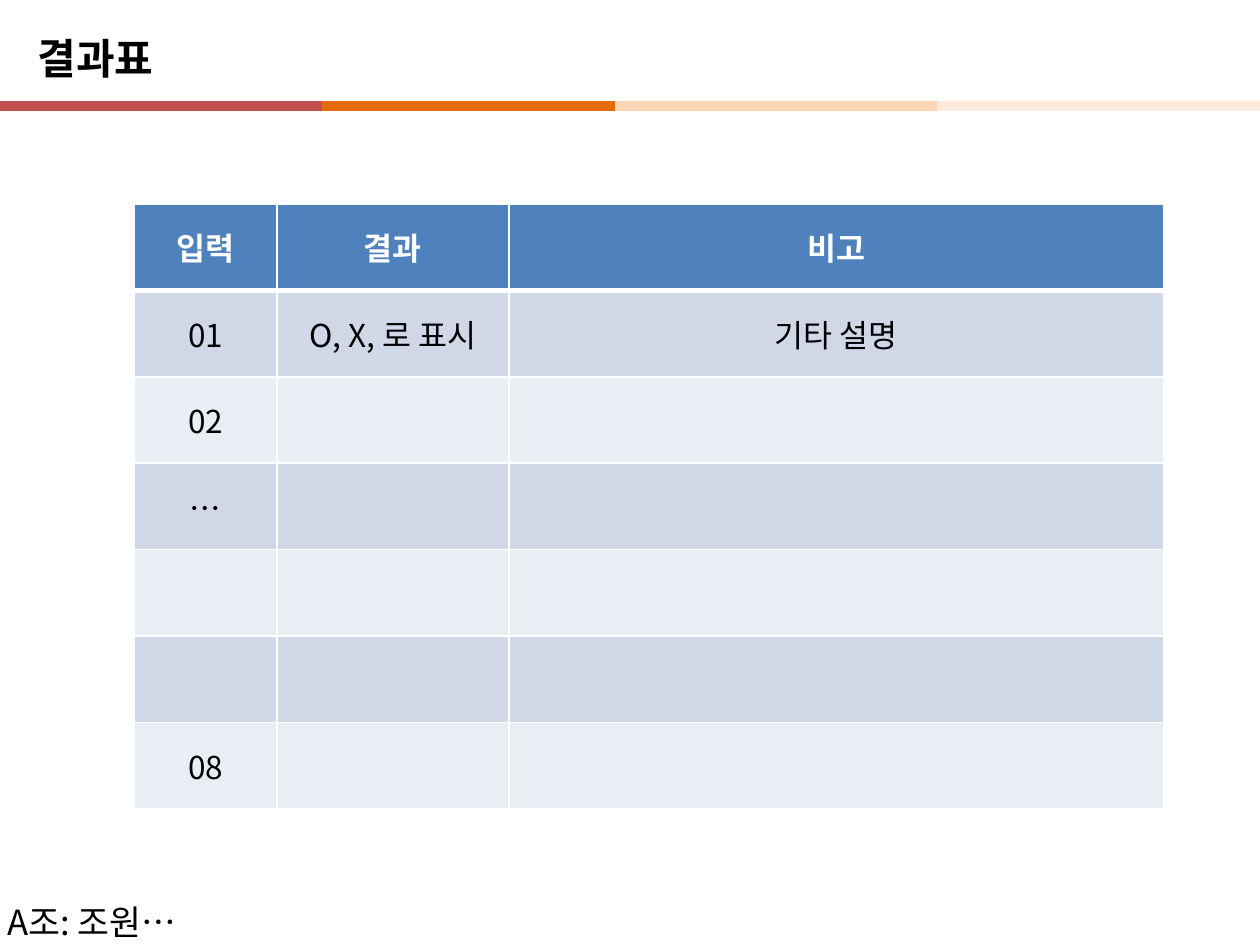
"""Build the result-table slide with its title, colour stripe and team line."""

import dataclasses
import typing

import lxml.etree
import pptx
import pptx.dml.color
import pptx.enum.shapes
import pptx.enum.text
import pptx.oxml.ns
import pptx.util

PX_PER_INCH = 126


@dataclasses.dataclass(frozen=True)
class Theme:
    font: str = "Noto Sans CJK KR"
    ink: str = "000000"
    white: str = "FFFFFF"
    header: str = "4F81BD"
    bands: tuple[str, str] = ("D0D8E8", "E9EDF4")
    title_size: float = 24
    table_size: float = 18
    team_size: float = 19.8
    stripe_width: float = 6
    grid_width: float = 1
    header_rule: float = 3


class Box(typing.NamedTuple):
    left: int
    top: int
    width: int
    height: int


class Stripe(typing.NamedTuple):
    start: int
    end: int
    color: str


THEME = Theme()
TITLE_BOX = Box(25, 20, 1042, 76)
TABLE_BOX = Box(134, 204, 1030, 605)
TEAM_BOX = Box(-5, 897, 507, 49)
STRIPE_Y = 106
STRIPES = (
    Stripe(292, 615, "E46C0A"),
    Stripe(615, 937, "FCD5B5"),
    Stripe(937, 1260, "FDEADA"),
    Stripe(0, 322, "C0504D"),
)
COLUMN_WIDTHS = (143, 232, 655)
ROWS = (
    ("입력", "결과", "비고"),
    ("01", "O, X, 로 표시", "기타 설명"),
    ("02", "", ""),
    ("…", "", ""),
    ("", "", ""),
    ("", "", ""),
    ("08", "", ""),
)


def px(length: float) -> int:
    """Convert pixels to EMU."""
    return pptx.util.Emu(round(length * 914400 / PX_PER_INCH))


def rgb(color: str) -> pptx.dml.color.RGBColor:
    """Turn a hex string into a colour."""
    return pptx.dml.color.RGBColor.from_string(color)


def assign(target: typing.Any, values: dict[str, typing.Any]) -> None:
    """Set each named attribute on the target."""
    for name, value in values.items():
        setattr(target, name, value)


def place(shape: typing.Any, box: Box) -> None:
    """Move and size a shape."""
    assign(shape, {name: px(length) for name, length in box._asdict().items()})


def write(frame: typing.Any, text: str, size: float, color: str,
          bold: bool = False, centred: bool = False) -> None:
    """Write one formatted line into a text frame."""
    align = pptx.enum.text.PP_ALIGN
    line = frame.paragraphs[0]
    line.alignment = align.CENTER if centred else align.LEFT
    line.font.size = pptx.util.Pt(size)
    if not text:
        return
    run = line.add_run()
    run.text = text
    assign(run.font, {"size": pptx.util.Pt(size), "bold": bold, "name": THEME.font})
    run.font.color.rgb = rgb(color)
    lxml.etree.SubElement(run._r.get_or_add_rPr(), pptx.oxml.ns.qn("a:ea"),
                          typeface=THEME.font)


def draw_stripe(slide: typing.Any, stripe: Stripe) -> None:
    """Draw one segment of the colour stripe."""
    segment = slide.shapes.add_connector(
        pptx.enum.shapes.MSO_CONNECTOR.STRAIGHT,
        px(stripe.start), px(STRIPE_Y), px(stripe.end), px(STRIPE_Y))
    segment.line.color.rgb = rgb(stripe.color)
    segment.line.width = pptx.util.Pt(THEME.stripe_width)
    lxml.etree.SubElement(segment._element.spPr, pptx.oxml.ns.qn("a:effectLst"))


def draw_borders(cell: typing.Any, row: int) -> None:
    """Draw the white grid around a cell, heavier below the header."""
    qn = pptx.oxml.ns.qn
    widths = dict.fromkeys(("L", "R", "T", "B"), THEME.grid_width)
    if row < 2:
        widths["B" if row == 0 else "T"] = THEME.header_rule
    for side, width in widths.items():
        border = lxml.etree.SubElement(cell._tc.get_or_add_tcPr(), qn(f"a:ln{side}"),
                                       w=str(pptx.util.Pt(width)))
        fill = lxml.etree.SubElement(border, qn("a:solidFill"))
        lxml.etree.SubElement(fill, qn("a:srgbClr"), val=THEME.white)


def draw_table(slide: typing.Any) -> None:
    """Draw the result table."""
    results = slide.shapes.add_table(
        len(ROWS), len(COLUMN_WIDTHS), *map(px, TABLE_BOX)).table
    for column, width in zip(results.columns, COLUMN_WIDTHS):
        column.width = px(width)
    for row, texts in enumerate(ROWS):
        results.rows[row].height = px(TABLE_BOX.height / len(ROWS))
        is_header = row == 0
        for column, text in enumerate(texts):
            cell = results.cell(row, column)
            draw_borders(cell, row)
            cell.fill.solid()
            cell.fill.fore_color.rgb = rgb(
                THEME.header if is_header else THEME.bands[(row - 1) % 2])
            cell.vertical_anchor = pptx.enum.text.MSO_ANCHOR.MIDDLE
            write(cell.text_frame, text, THEME.table_size,
                  THEME.white if is_header else THEME.ink, is_header, centred=True)


def main() -> None:
    """Build and save the slide."""
    deck = pptx.Presentation()
    assign(deck, {"slide_width": px(1260), "slide_height": px(945)})
    slide = deck.slides.add_slide(deck.slide_layouts[5])
    frame_format = {
        "word_wrap": True,
        "auto_size": pptx.enum.text.MSO_AUTO_SIZE.NONE,
        "vertical_anchor": pptx.enum.text.MSO_ANCHOR.MIDDLE,
    }

    for stripe in STRIPES:
        draw_stripe(slide, stripe)

    title = slide.shapes.title
    place(title, TITLE_BOX)
    assign(title.text_frame, frame_format)
    write(title.text_frame, "결과표", THEME.title_size, THEME.ink, bold=True)

    draw_table(slide)

    team = slide.shapes.add_textbox(*map(px, TEAM_BOX))
    assign(team.text_frame, frame_format)
    write(team.text_frame, "A조: 조원…", THEME.team_size, THEME.ink)

    deck.save("out.pptx")


if __name__ == "__main__":
    main()
